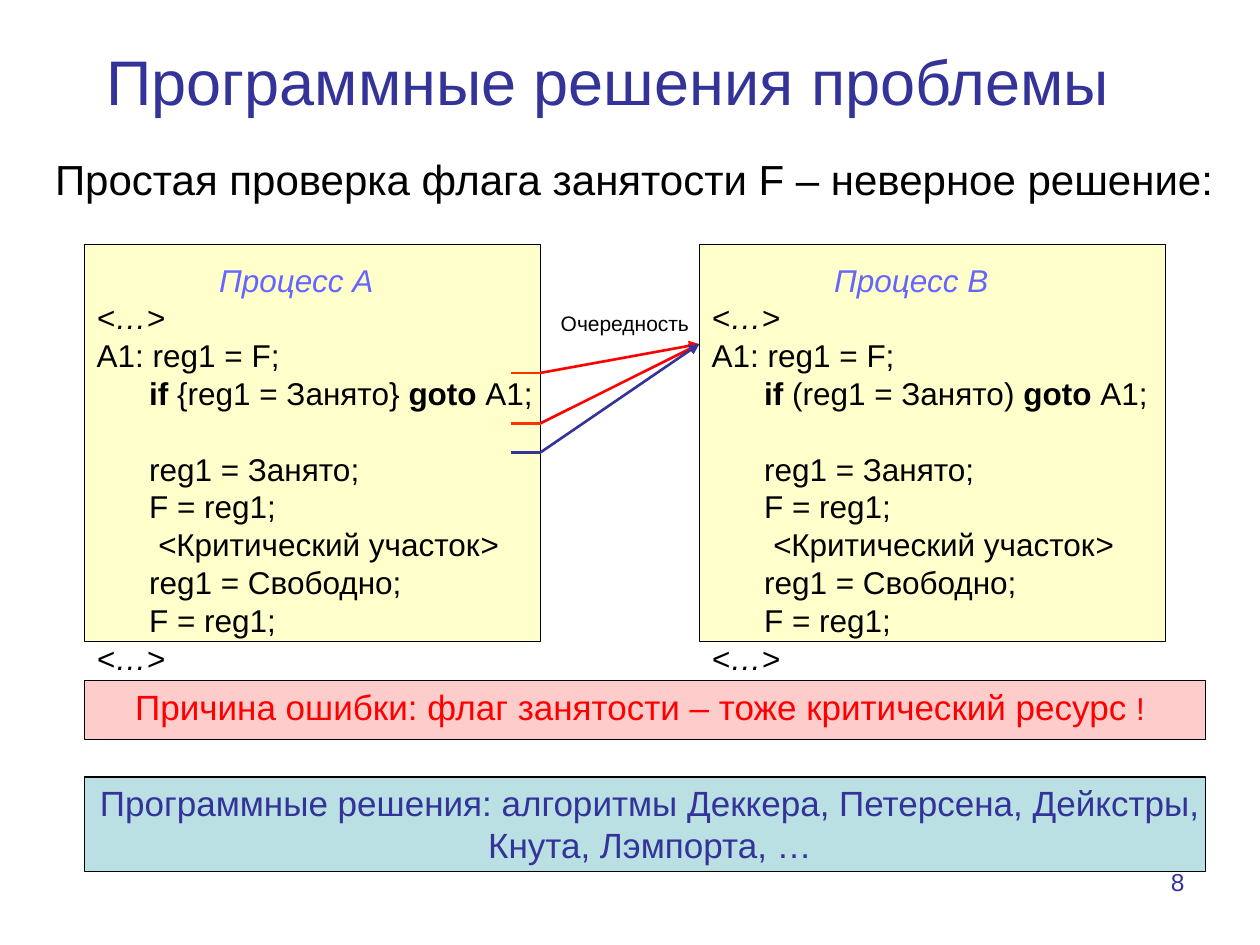
import dataclasses

import pptx
import pptx.dml.color
import pptx.enum.dml
import pptx.enum.shapes
import pptx.enum.text
import pptx.oxml.ns
import pptx.util
from lxml import etree

Pt = pptx.util.Pt
ALIGN = pptx.enum.text.PP_ALIGN
ANCHOR = pptx.enum.text.MSO_ANCHOR


@dataclasses.dataclass(frozen=True)
class Theme:
    font: str = "Arial"
    black: str = "000000"
    navy: str = "333399"
    violet: str = "6666FF"
    red: str = "FF0000"
    orange: str = "FF3300"
    yellow: str = "FFFFCC"
    pink: str = "FFCCCC"
    aqua: str = "BBE0E3"
    title: float = 36
    lead: float = 24
    summary: float = 20
    code: float = 18
    number: float = 14
    label: float = 12
    leading: float = 1.2


theme = Theme()
rgb = pptx.dml.color.RGBColor.from_string

presentation = pptx.Presentation()
presentation.slide_width = Pt(720)
presentation.slide_height = Pt(540)
slide = presentation.slides.add_slide(presentation.slide_layouts[6])


def add_text(runs, box, *, size, color=theme.black, align=ALIGN.LEFT,
             anchor=ANCHOR.TOP, indent=0, before=0, frame=None):
    """Add one paragraph of (text, style) runs, where style may hold b, i or a size."""
    if frame is None:
        frame = slide.shapes.add_textbox(*map(Pt, box)).text_frame
        frame.word_wrap = True
        frame.vertical_anchor = anchor
        paragraph = frame.paragraphs[0]
    else:
        paragraph = frame.add_paragraph()
    paragraph.alignment = align
    paragraph.line_spacing = Pt(size * theme.leading)
    if before:
        paragraph.space_before = Pt(before)
    if indent:
        paragraph._p.get_or_add_pPr().set("marL", str(Pt(indent)))
    for text, style in runs:
        run = paragraph.add_run()
        run.text = text
        run.font.name = theme.font
        run.font.size = Pt(style.get("size", size))
        run.font.bold = style.get("b", False)
        run.font.italic = style.get("i", False)
        run.font.color.rgb = rgb(color)
    return frame


def add_line(start, end, color, arrow=False):
    line = slide.shapes.add_connector(
        pptx.enum.shapes.MSO_CONNECTOR.STRAIGHT, *map(Pt, start + end))
    line.line.color.rgb = rgb(color)
    line.line.width = Pt(1.5)
    if arrow:
        etree.SubElement(line.line._get_or_add_ln(),
                         pptx.oxml.ns.qn("a:tailEnd"), type="triangle")
    etree.SubElement(line._element.spPr, pptx.oxml.ns.qn("a:effectLst"))


# Title and lead sentence
add_text([("Программные решения проблемы", {})], (14.4, -8, 666, 108),
         size=theme.title, color=theme.navy, align=ALIGN.CENTER, anchor=ANCHOR.MIDDLE)
add_text([("Простая проверка флага занятости F – неверное решение:", {})],
         (19.4, 84, 686, 48), size=theme.lead, align=ALIGN.CENTER)

# Panels behind the text
left_edge, panel_top, panel_height = 48.2, 139.7, 226.8
a_right, b_left = 308.9, 399.6
for box, fill in [
    ((left_edge, panel_top, a_right - left_edge, panel_height), theme.yellow),
    ((b_left, panel_top, 266.4, panel_height), theme.yellow),
    ((left_edge, 388.8, 640.8, 34), theme.pink),
    ((left_edge, 444, 640.8, 54), theme.aqua),
]:
    panel = slide.shapes.add_shape(
        pptx.enum.shapes.MSO_SHAPE.RECTANGLE, *map(Pt, box))
    panel.shadow.inherit = False
    panel.fill.solid()
    panel.fill.fore_color.rgb = rgb(fill)
    panel.line.color.rgb = rgb(theme.black)
    panel.line.width = Pt(0.75)

# Code of the two processes
bold, italic = {"b": True}, {"i": True}
for left, name, condition in [
    (left_edge, "Процесс А", "{reg1 = Занято}"),
    (b_left, "Процесс B", "(reg1 = Занято)"),
]:
    code_frame = add_text([(name, italic)], (left, 145.4, 283.7, 245),
                          size=theme.code, color=theme.violet, indent=70)
    for runs, before in [
        ([("<…>", italic)], 0),
        ([("А1: reg1 = F;", {})], 0),
        ([("      ", {}), ("if ", bold), (condition, {}), (" goto ", bold), ("A1;", {})], 0),
        ([("      reg1 = Занято;", {})], theme.code * theme.leading),
        ([("      F = reg1;", {})], 0),
        ([("       <", italic), ("Критический участок", {}), (">", italic)], 0),
        ([("      reg1 = Свободно;", {})], 0),
        ([("      F = reg1;", {})], 0),
        ([("<…>", italic)], 0),
    ]:
        add_text(runs, None, size=theme.code, before=before, frame=code_frame)

# Order of the steps: a tick inside process A, then an arrow to process B
for y, tick_color, arrow_color in [
    (213.1, theme.orange, theme.red),
    (241.9, theme.orange, theme.red),
    (258.5, theme.navy, theme.navy),
]:
    add_line((292.3, y), (a_right, y), tick_color)
    add_line((a_right, y), (b_left, 196.6), arrow_color, arrow=True)
add_text([("Очередность", {})], (306, 174.2, 102.2, 21.6),
         size=theme.label, align=ALIGN.CENTER)

# Conclusions
add_text([("Причина ошибки: флаг занятости – тоже критический ресурс", {}),
          (" !", {"size": theme.code})], (54, 388.1, 623.5, 34),
         size=theme.summary, color=theme.red, align=ALIGN.CENTER)
add_text([("Программные решения: алгоритмы Деккера, Петерсена, Дейкстры, "
           "Кнута, Лэмпорта, …", {})], (left_edge, 443, 646.6, 55.4),
         size=theme.summary, color=theme.navy, align=ALIGN.CENTER)

# Slide number
add_text([("8", {})], (516.2, 491.8, 167.8, 37.4),
         size=theme.number, color=theme.navy, align=ALIGN.RIGHT)

presentation.save("out.pptx")
